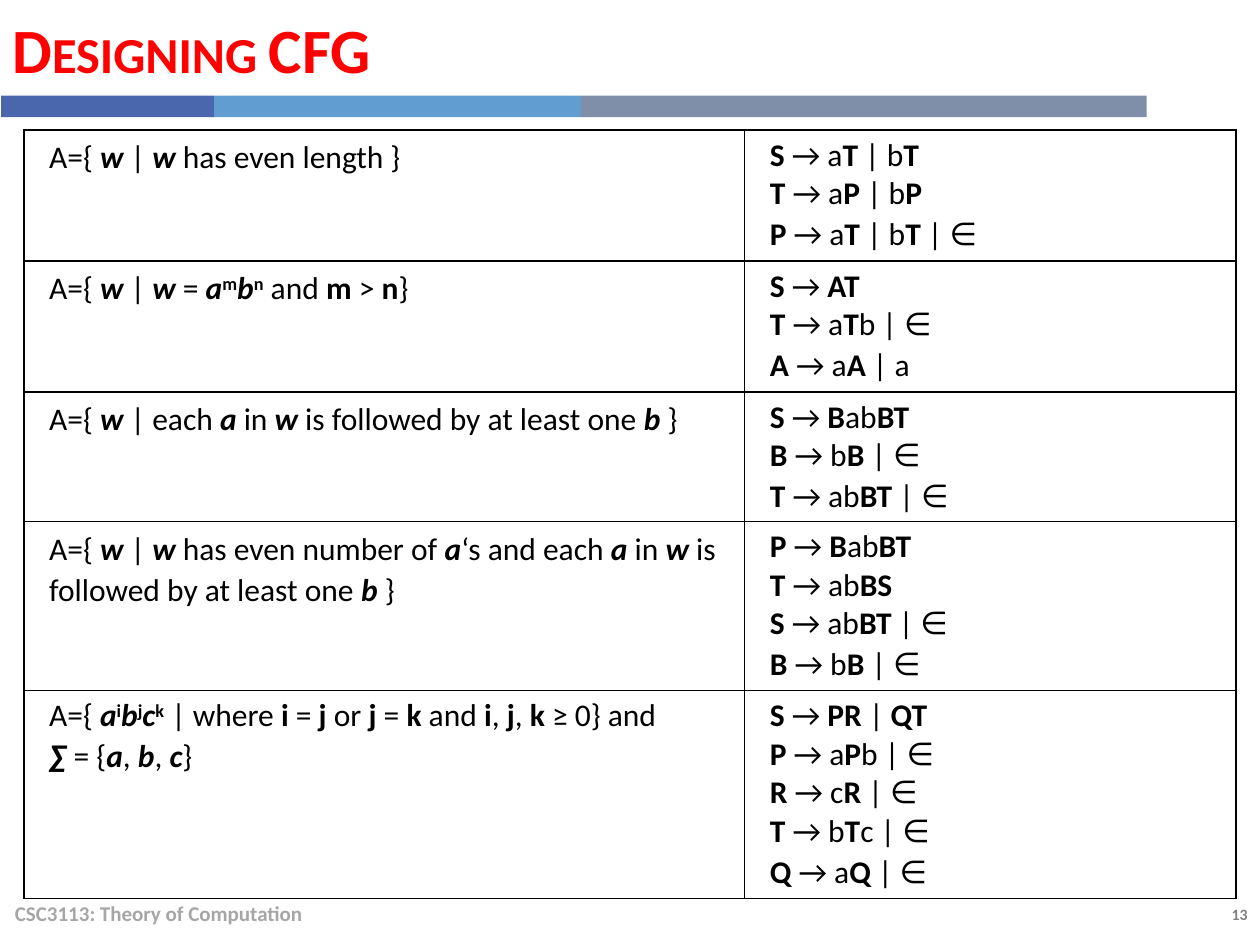
from dataclasses import dataclass
from itertools import accumulate, groupby

from lxml.etree import SubElement
from pptx import Presentation
from pptx.dml.color import RGBColor
from pptx.enum.shapes import MSO_SHAPE
from pptx.enum.text import MSO_ANCHOR, PP_ALIGN
from pptx.oxml.ns import qn
from pptx.util import Inches, Pt


@dataclass(frozen=True)
class Theme:
    """Colours, typeface and type sizes of the slide."""
    font: str = "Calibri"
    title: str = "FF0000"
    ink: str = "000000"
    footer: str = "A6A6A6"
    number: str = "808080"
    bars: tuple = ("4A66AC", "629DD1", "7F8FA9")
    title_size: int = 36
    body_size: int = 18
    footer_size: int = 12
    number_size: int = 9


THEME = Theme()
BAR_EDGES = (0.01, 1.7, 4.61, 9.1)
COLUMN_WIDTHS = (5.72, 3.9)
ROW_HEIGHTS = (1.04, 1.04, 1.03, 1.34, 1.65)
ROWS = (
    (["A={ /*w/ | /*w/ has even length }"],
     ["S → aT | bT", "T → aP | bP", "P → aT | bT | ∈"]),
    (["A={ /*w/ | /*w/ = /*a//^m//*b//^n/ and /!m/ > /!n/}"],
     ["S → AT", "T → aTb | ∈", "A → aA | a"]),
    (["A={ /*w/ | each /*a/ in /*w/ is followed by at least one /*b/ }"],
     ["S → BabBT", "B → bB | ∈", "T → abBT | ∈"]),
    (["A={ /*w/ | /*w/ has even number of /*a/‘s and each /*a/ in /*w/ is "
      "followed by at least one /*b/ }"],
     ["P → BabBT", "T → abBS", "S → abBT | ∈", "B → bB | ∈"]),
    (["A={ /*a//^i//*b//^j//*c//^k/ | where /!i/ = /!j/ or /!j/ = /!k/ "
      "and /!i/, /!j/, /!k/ ≥ 0} and",
      "/*∑/ = {/*a/, /*b/, /*c/}"],
     ["S → PR | QT", "P → aPb | ∈", "R → cR | ∈", "T → bTc | ∈", "Q → aQ | ∈"]),
)


def add_text(para, text, size=THEME.body_size, color=THEME.ink, bold=False,
             italic=False, superscript=False, small_caps=False):
    """Append one formatted span to a paragraph."""
    span = para.add_run()
    span.text = text
    span.font.name = THEME.font
    span.font.size = Pt(size)
    span.font.bold = bold
    span.font.italic = italic
    span.font.color.rgb = RGBColor.from_string(color)
    properties = span._r.get_or_add_rPr()
    if superscript:
        properties.set("baseline", "30000")
    if small_caps:
        properties.set("cap", "small")


def write_language(para, text):
    """Write a language; slashes enclose *bold italic, !bold and ^superscript."""
    for index, piece in enumerate(text.split("/")):
        if index % 2:
            mark = piece[0]
            add_text(para, piece[1:], bold=True, italic=mark == "*",
                     superscript=mark == "^")
        elif piece:
            add_text(para, piece)


def write_rule(para, text):
    """Write a grammar rule with its variables in bold."""
    for is_variable, letters in groupby(text, str.isupper):
        add_text(para, "".join(letters), bold=is_variable)


def add_label(page, left, top, width, height, text, align=PP_ALIGN.LEFT,
              anchor=MSO_ANCHOR.MIDDLE, space_before=0, **style):
    """Add a text box holding one bold line."""
    box = page.shapes.add_textbox(*map(Inches, (left, top, width, height)))
    box.text_frame.word_wrap = True
    box.text_frame.vertical_anchor = anchor
    para = box.text_frame.paragraphs[0]
    para.alignment = align
    para.space_before = Pt(space_before)
    add_text(para, text, bold=True, **style)


def add_bars(page):
    """Add the coloured strip under the title."""
    for left, right, color in zip(BAR_EDGES, BAR_EDGES[1:], THEME.bars):
        bar = page.shapes.add_shape(MSO_SHAPE.RECTANGLE, Inches(left), Inches(0.76),
                                    Inches(right - left), Inches(0.17))
        bar.shadow.inherit = False
        bar.fill.solid()
        bar.fill.fore_color.rgb = RGBColor.from_string(color)
        bar.line.fill.background()


def outline_cell(cell):
    """Draw a thin line on every side of a cell."""
    properties = cell._tc.get_or_add_tcPr()
    for side in ("lnL", "lnR", "lnT", "lnB"):
        line = SubElement(properties, qn(f"a:{side}"), w=str(Pt(1)))
        fill = SubElement(line, qn("a:solidFill"))
        SubElement(fill, qn("a:srgbClr"), val=THEME.ink)


def fill_cell(cell, lines, write):
    """Format a cell and write one paragraph per line."""
    cell.margin_left, cell.margin_right = Inches(0.2), Inches(0.07)
    cell.margin_top = cell.margin_bottom = Inches(0.05)
    outline_cell(cell)
    cell.fill.background()
    frame = cell.text_frame
    for index, line in enumerate(lines):
        para = frame.add_paragraph() if index else frame.paragraphs[0]
        write(para, line)
    para.line_spacing = 1.07


def add_grammar_table(page):
    """Add the table of languages and their grammars."""
    width, height = list(accumulate(COLUMN_WIDTHS))[-1], sum(ROW_HEIGHTS)
    frame = page.shapes.add_table(len(ROWS), len(COLUMN_WIDTHS), Inches(0.19),
                                  Inches(1.03), Inches(width), Inches(height))
    table = frame.table
    table.first_row = table.horz_banding = False
    for column, size in zip(table.columns, COLUMN_WIDTHS):
        column.width = Inches(size)
    for index, (language, rules) in enumerate(ROWS):
        table.rows[index].height = Inches(ROW_HEIGHTS[index])
        fill_cell(table.cell(index, 0), language, write_language)
        fill_cell(table.cell(index, 1), rules, write_rule)


def main():
    """Build and save the slide."""
    deck = Presentation()
    deck.slide_width, deck.slide_height = Inches(10), Inches(7.5)
    page = deck.slides.add_slide(deck.slide_layouts[6])
    add_label(page, 8.73, 7.13, 1.27, 0.25, "13", align=PP_ALIGN.RIGHT,
              anchor=MSO_ANCHOR.TOP, size=THEME.number_size, color=THEME.number)
    add_bars(page)
    add_label(page, 0.02, 7.05, 6.7, 0.4, "CSC3113: Theory of Computation",
              size=THEME.footer_size, color=THEME.footer)
    add_label(page, 0, 0, 9.1, 0.76, "Designing CFG", space_before=6,
              size=THEME.title_size, color=THEME.title, small_caps=True)
    add_grammar_table(page)
    deck.save("out.pptx")


if __name__ == "__main__":
    main()
